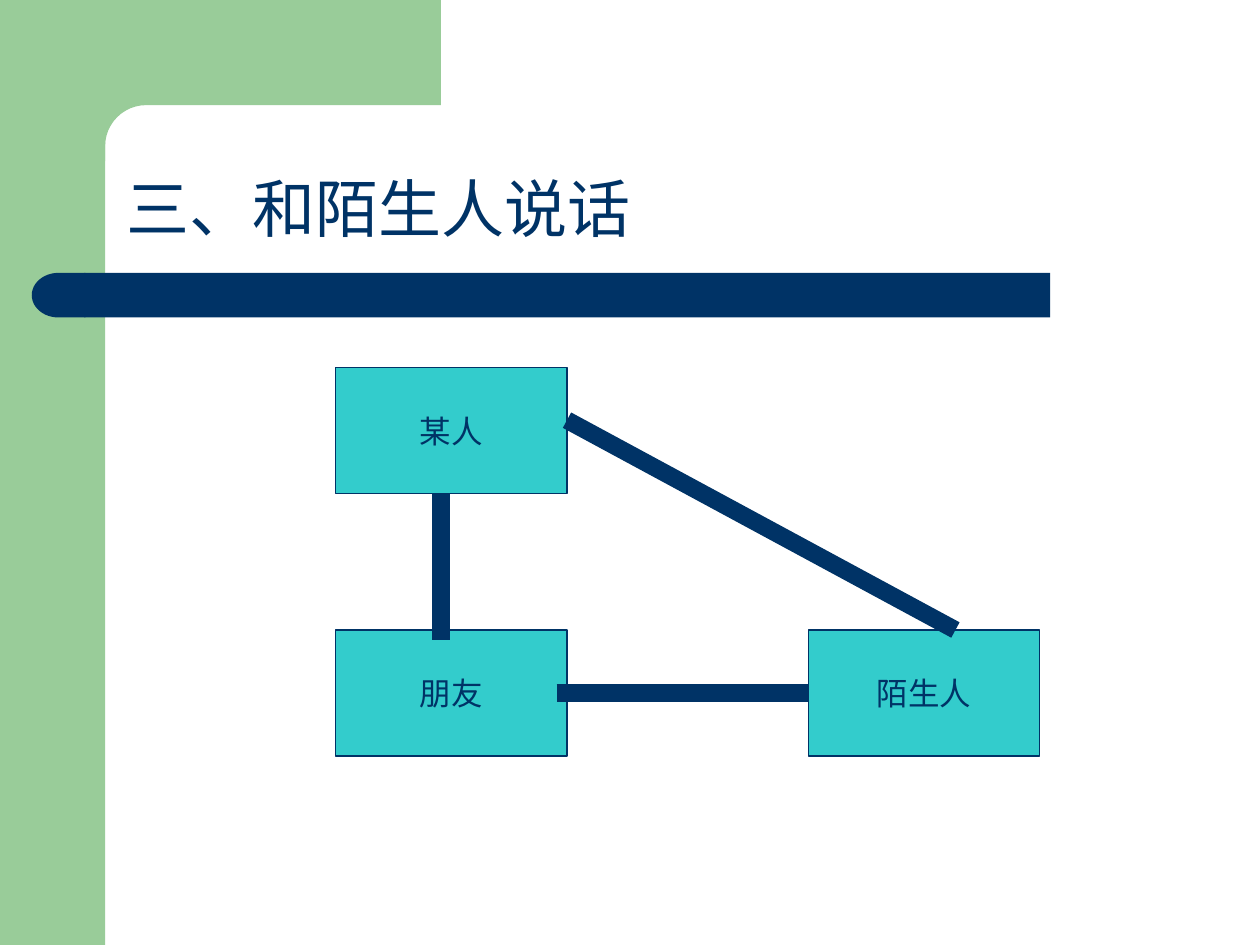
"""Build the slide on talking to strangers: three people joined by thick lines."""
from math import cos, pi, sin

from lxml import etree
from pptx import Presentation
from pptx.dml.color import RGBColor
from pptx.enum.shapes import MSO_CONNECTOR, MSO_SHAPE
from pptx.enum.text import MSO_ANCHOR, PP_ALIGN
from pptx.oxml.ns import qn
from pptx.util import Cm, Pt

RECTANGLE = MSO_SHAPE.RECTANGLE
DELAY = MSO_SHAPE.FLOWCHART_DELAY
STRAIGHT = MSO_CONNECTOR.STRAIGHT
MIDDLE, BOTTOM = MSO_ANCHOR.MIDDLE, MSO_ANCHOR.BOTTOM
LEFT, CENTER = PP_ALIGN.LEFT, PP_ALIGN.CENTER
LEFT_SIDE = 1

NAVY, GREEN, TEAL = "003366", "99CC99", "33CCCC"
FONT = "Arial"

TITLE = "三、和陌生人说话"
TITLE_PLACE = (2.31, 2.31, 21.62, 2.77)
SIDEBAR = (0, 0, 2.12, 19.05)
BAR = (1.7, 5.5, 19.47, 0.9)
BAR_CAP = (0.64, 5.5, 1.08, 0.9)
CORNER = {"left": 1.27, "right": 8.89, "edge": 2.12, "radius": 0.83, "bottom": 3.25}
CORNER_STEPS = 12

BOX_SIZE = (4.66, 2.54)
PEOPLE = {"某人": (6.77, 7.41), "朋友": (6.77, 12.7), "陌生人": (16.3, 12.7)}
LINKS = [
    ((8.89, 9.95), (8.89, 12.9), None),
    ((11.43, 8.47), (19.26, 12.7), None),
    ((11.22, 13.97), (16.3, 13.97), "陌生人"),
]


def color(value):
    """Turn a hex string into a colour."""
    return RGBColor.from_string(value)


def paint(shape, fill, line=None):
    """Give a shape its fill and outline without a shadow."""
    shape.shadow.inherit = False
    shape.fill.solid()
    shape.fill.fore_color.rgb = color(fill)
    if line:
        shape.line.color.rgb = color(line)
        shape.line.width = Pt(0.75)
    else:
        shape.line.fill.background()


def add_block(slide, kind, place, fill, line=None):
    """Add a painted preset shape."""
    shape = slide.shapes.add_shape(kind, *map(Cm, place))
    paint(shape, fill, line)
    return shape


def write(shape, text, size, align, anchor, wrap=False, spacing=1.0):
    """Put formatted text into a shape."""
    frame = shape.text_frame
    frame.word_wrap = wrap
    frame.vertical_anchor = anchor
    paragraph = frame.paragraphs[0]
    paragraph.alignment = align
    paragraph.line_spacing = spacing
    run = paragraph.add_run()
    run.text = text
    run.font.name = FONT
    run.font.size = Pt(size)
    run.font.color.rgb = color(NAVY)


def add_corner(slide, left, right, edge, radius, bottom):
    """Add the top band whose inner corner is rounded."""
    center = edge + radius
    angles = [pi / 2 * step / CORNER_STEPS for step in range(CORNER_STEPS + 1)]
    arc = [(center - radius * sin(a), center - radius * cos(a)) for a in angles]
    outline = [(right, edge), *arc, (edge, bottom), (left, bottom), (left, 0)]
    builder = slide.shapes.build_freeform(Cm(right), 0)
    builder.add_line_segments([(Cm(x), Cm(y)) for x, y in outline])
    paint(builder.convert_to_shape(), GREEN)


def add_link(slide, start, end):
    """Add a thick line between two points."""
    connector = slide.shapes.add_connector(STRAIGHT, *map(Cm, (*start, *end)))
    connector.line.color.rgb = color(NAVY)
    connector.line.width = Pt(10)
    etree.SubElement(connector._element.spPr, qn("a:effectLst"))
    return connector


def main():
    """Draw the slide and save it."""
    presentation = Presentation()
    presentation.slide_width, presentation.slide_height = Cm(25.4), Cm(19.05)
    slide = presentation.slides.add_slide(presentation.slide_layouts[6])

    add_block(slide, RECTANGLE, SIDEBAR, GREEN)
    add_corner(slide, **CORNER)
    add_block(slide, RECTANGLE, BAR, NAVY)
    add_block(slide, DELAY, BAR_CAP, NAVY).rotation = 180

    title = slide.shapes.add_textbox(*map(Cm, TITLE_PLACE))
    write(title, TITLE, size=36, align=LEFT, anchor=BOTTOM, wrap=True, spacing=0.9)

    boxes = {}
    for name, position in PEOPLE.items():
        boxes[name] = add_block(slide, RECTANGLE, position + BOX_SIZE, TEAL, NAVY)
        write(boxes[name], name, size=18, align=CENTER, anchor=MIDDLE)

    for start, end, target in LINKS:
        connector = add_link(slide, start, end)
        if target:
            connector.end_connect(boxes[target], LEFT_SIDE)

    presentation.save("out.pptx")


if __name__ == "__main__":
    main()
